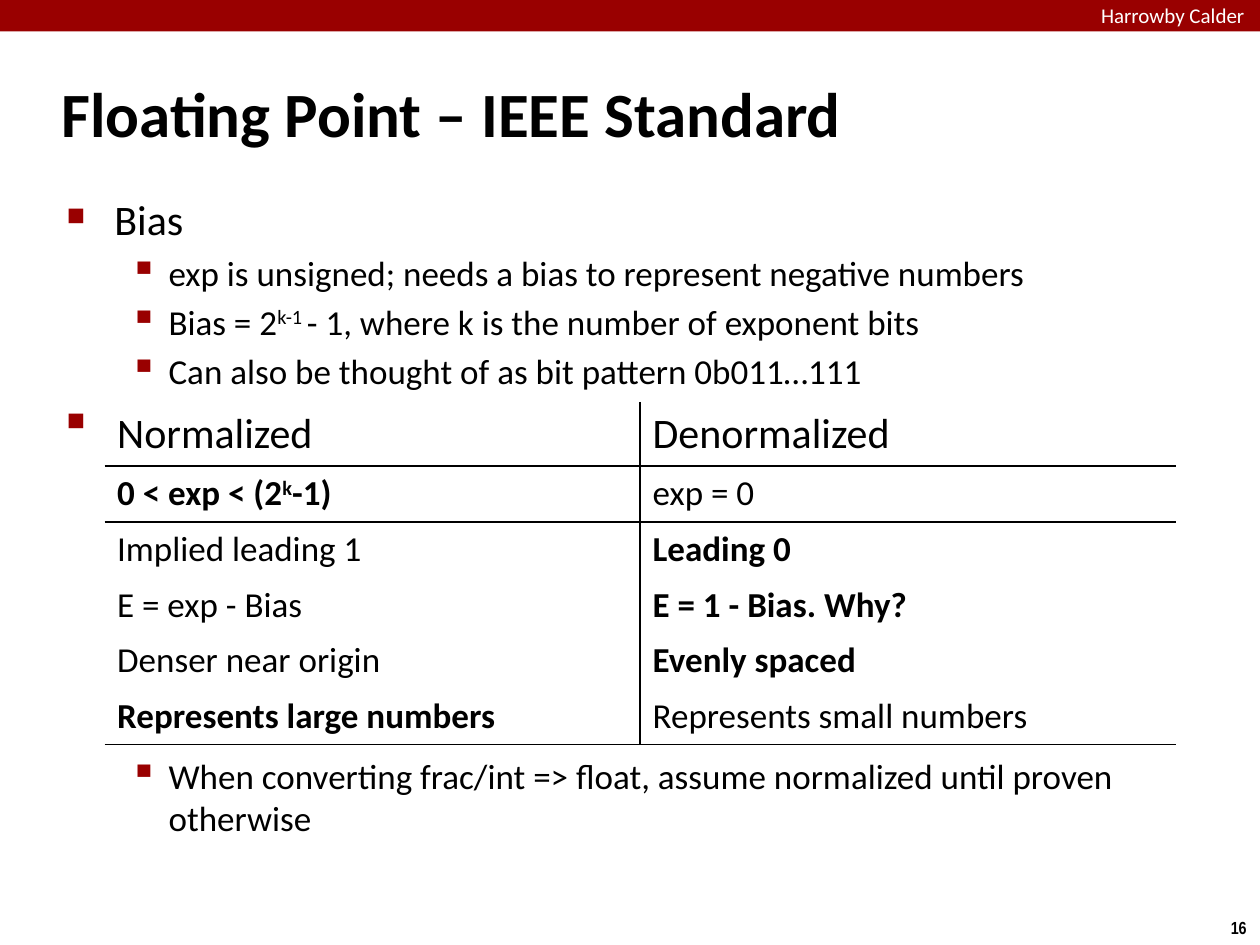
from dataclasses import dataclass

from lxml import etree
from pptx import Presentation
from pptx.dml.color import RGBColor
from pptx.enum.shapes import MSO_SHAPE
from pptx.enum.text import MSO_ANCHOR
from pptx.oxml.ns import qn
from pptx.util import Inches, Pt

RECTANGLE = MSO_SHAPE.RECTANGLE
MIDDLE = MSO_ANCHOR.MIDDLE
TOP = MSO_ANCHOR.TOP


@dataclass(frozen=True)
class Theme:
    """Colours, fonts and type sizes of the slide."""
    accent: str = "990000"
    ink: str = "000000"
    paper: str = "FFFFFF"
    font: str = "Calibri"
    number_font: str = "Arial Narrow"
    title: int = 36
    heading: int = 24
    detail: int = 20
    header: int = 12
    number: int = 10


THEME = Theme()
BULLETS = {
    0: ("■", 60, 0.38, 0.38, THEME.heading),
    1: ("▪", 110, 0.81, 0.31, THEME.detail),
}
TABLE_GAP = 174
BODY = [
    (0, [("Bias", "")], 4.8),
    (1, [("exp is unsigned; needs a bias to represent negative numbers", "")], 4),
    (1, [("Bias = 2", ""), ("k-1 ", "super"),
         ("- 1, where k is the number of exponent bits", "")], 4),
    (1, [("Can also be thought of as bit pattern 0b011…111", "")], 4),
    (0, [(" ", "")], 4.8),
    (1, [("When converting frac/int => float, assume normalized until proven otherwise", "")],
     TABLE_GAP),
]
ROWS = [
    ([("Normalized", "")], [("Denormalized", "")]),
    ([("0 < exp < (2", "bold"), ("k", "bold super"), ("-1)", "bold")], [("exp = 0", "")]),
    ([("Implied leading 1", "")], [("Leading 0", "bold")]),
    ([("E = exp - Bias", "")], [("E = 1 - Bias. Why?", "bold")]),
    ([("Denser near origin", "")], [("Evenly spaced", "bold")]),
    ([("Represents large numbers", "bold")], [("Represents small numbers", "")]),
]
RULED_ROWS = (0, 1, len(ROWS) - 1)


def add_runs(paragraph, runs, size, color=THEME.ink, font=THEME.font):
    """Add styled runs to a paragraph."""
    for text, style in runs:
        run = paragraph.add_run()
        run.text = text
        run.font.size = Pt(size)
        run.font.name = font
        run.font.bold = "bold" in style
        run.font.color.rgb = RGBColor.from_string(color)
        if "super" in style:
            run.font._element.set("baseline", "30000")


def add_text_frame(slide, box, anchor=TOP, wrap=True):
    """Add a text box and return its frame."""
    frame = slide.shapes.add_textbox(*map(Inches, box)).text_frame
    frame.word_wrap = wrap
    frame.vertical_anchor = anchor
    return frame


def set_bullet(paragraph, level):
    """Give a paragraph the bullet and indent of its level."""
    character, percent, margin, hanging, _ = BULLETS[level]
    paragraph.level = level
    properties = paragraph._p.get_or_add_pPr()
    properties.set("marL", str(Inches(margin)))
    properties.set("indent", str(-Inches(hanging)))
    color = etree.SubElement(properties, qn("a:buClr"))
    etree.SubElement(color, qn("a:srgbClr"), val=THEME.accent)
    etree.SubElement(properties, qn("a:buSzPct"), val=str(percent * 1000))
    etree.SubElement(properties, qn("a:buChar"), char=character)


def add_header(slide, box):
    """Draw the header band and its name."""
    left, top, width, height = box
    band = slide.shapes.add_shape(RECTANGLE, *map(Inches, box))
    band.shadow.inherit = False
    band.fill.solid()
    band.fill.fore_color.rgb = RGBColor.from_string(THEME.accent)
    band.line.fill.background()
    frame = add_text_frame(slide, (left + width - 1.36, top - 0.03, 1.43, 0.3))
    add_runs(frame.paragraphs[0], [("Harrowby Calder", "")], THEME.header, THEME.paper)


def add_title(slide, box):
    """Write the slide title."""
    frame = add_text_frame(slide, box, MIDDLE)
    add_runs(frame.paragraphs[0], [("Floating Point – IEEE Standard", "bold")], THEME.title)


def add_body(slide, box):
    """Write the bulleted list, leaving room for the table."""
    frame = add_text_frame(slide, box)
    for index, (level, runs, gap) in enumerate(BODY):
        paragraph = frame.add_paragraph() if index else frame.paragraphs[0]
        paragraph.space_before = Pt(gap)
        set_bullet(paragraph, level)
        add_runs(paragraph, runs, BULLETS[level][-1])


def set_borders(cell, ruled):
    """Draw the named cell borders and clear the others."""
    properties = cell._tc.get_or_add_tcPr()
    for position, side in enumerate("LRTB"):
        line = etree.Element(qn("a:ln" + side), w=str(Pt(1)))
        if side in ruled:
            fill = etree.SubElement(line, qn("a:solidFill"))
            etree.SubElement(fill, qn("a:srgbClr"), val=THEME.ink)
        else:
            etree.SubElement(line, qn("a:noFill"))
        properties.insert(position, line)


def add_comparison(slide, box):
    """Build the table of normalized and denormalized values."""
    left, top, width, height = box
    table = slide.shapes.add_table(len(ROWS), 2, *map(Inches, box)).table
    table.first_row = False
    table.horz_banding = False
    header_height = 0.51
    row_height = (height - header_height) / (len(ROWS) - 1)
    for column in table.columns:
        column.width = Inches(width / 2)
    for row_index, row in enumerate(ROWS):
        table.rows[row_index].height = Inches(row_height if row_index else header_height)
        size = THEME.detail if row_index else THEME.heading
        for column_index, runs in enumerate(row):
            cell = table.cell(row_index, column_index)
            cell.fill.background()
            add_runs(cell.text_frame.paragraphs[0], runs, size)
            ruled = "RL"[column_index]
            if row_index in RULED_ROWS:
                ruled += "B"
            if row_index - 1 in RULED_ROWS:
                ruled += "T"
            set_borders(cell, ruled)


def add_slide_number(slide, box):
    """Write the slide number."""
    frame = add_text_frame(slide, box, wrap=False)
    add_runs(frame.paragraphs[0], [("16", "bold")], THEME.number, font=THEME.number_font)


def main():
    """Build and save the presentation."""
    presentation = Presentation()
    presentation.slide_width = Inches(10)
    presentation.slide_height = Inches(7.5)
    slide = presentation.slides.add_slide(presentation.slide_layouts[6])
    add_header(slide, (0, 0, 10, 0.25))
    add_slide_number(slide, (9.67, 7.23, 0.34, 0.27))
    add_title(slide, (0.39, 0.48, 8.3, 0.83))
    add_body(slide, (0.43, 1.49, 8.64, 5.44))
    add_comparison(slide, (0.83, 3.19, 8.5, 2.72))
    presentation.save("out.pptx")


main()
